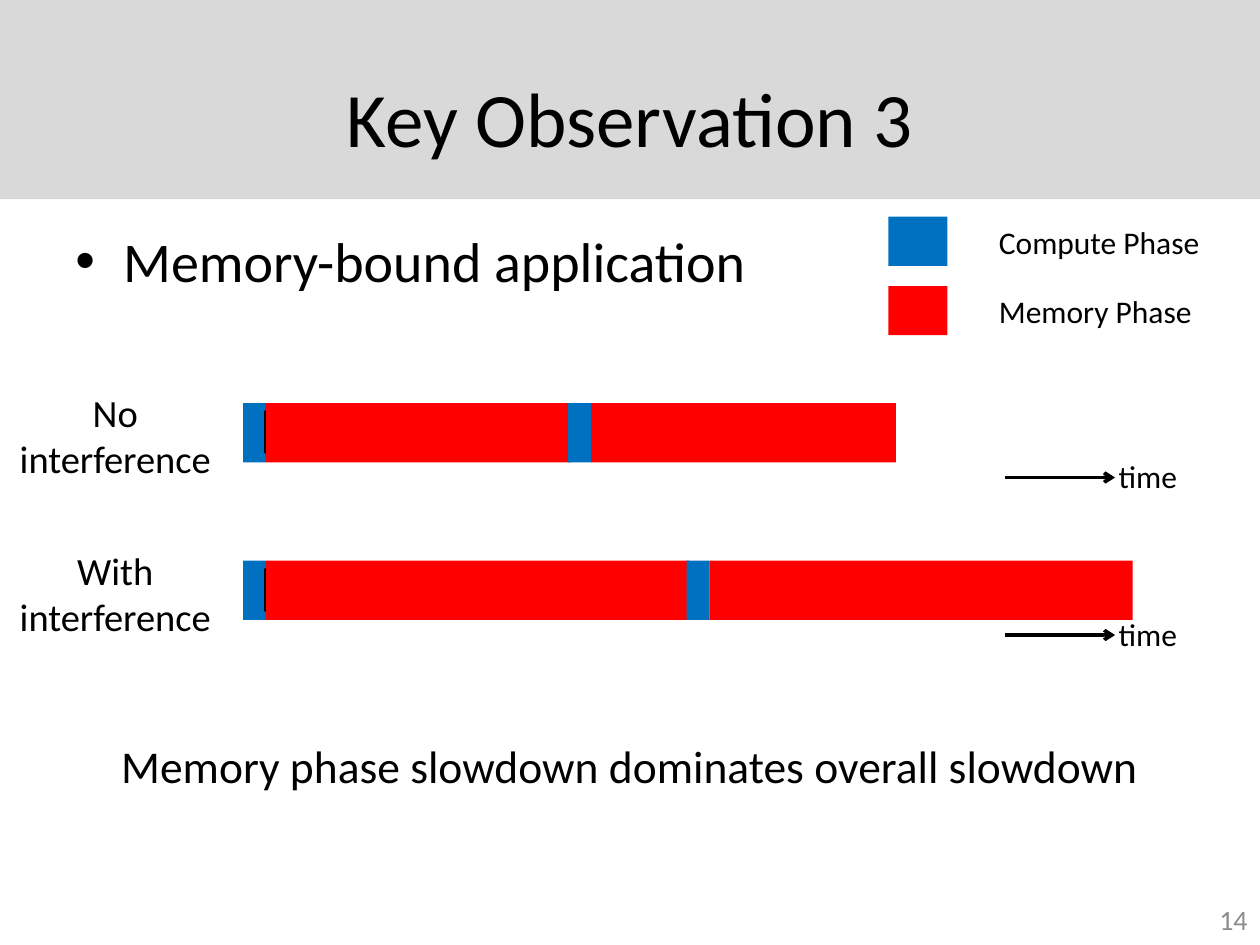
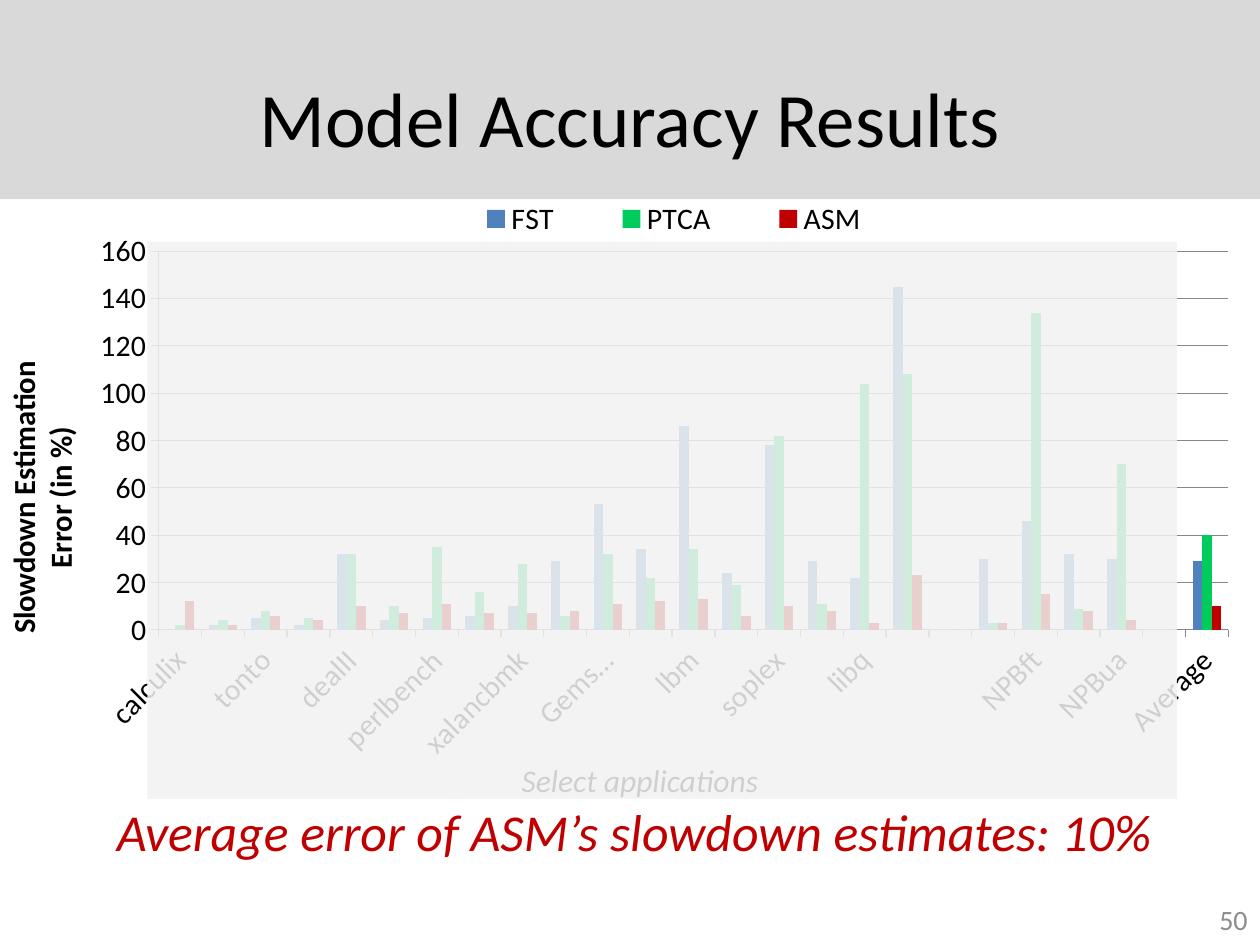
from lxml.etree import SubElement
from pptx import Presentation
from pptx.chart.data import CategoryChartData
from pptx.dml.color import RGBColor
from pptx.enum.chart import XL_CHART_TYPE, XL_LEGEND_POSITION, XL_TICK_MARK
from pptx.enum.shapes import MSO_CONNECTOR, MSO_SHAPE
from pptx.enum.text import MSO_ANCHOR, PP_ALIGN
from pptx.oxml import parse_xml
from pptx.oxml.ns import nsdecls, qn
from pptx.util import Inches, Pt

HUES = {
    "black": "000000", "band": "D9D9D9", "gray": "8C8C8C", "grid": "868686",
    "blue": "0070C0", "red": "FF0000", "veil": "F2F2F2",
    "fst": "4F81BD", "ptca": "00CC5C", "asm": "C00000",
}
FACE = "Calibri"
LEFT, MID, RIGHT = PP_ALIGN.LEFT, PP_ALIGN.CENTER, PP_ALIGN.RIGHT

APPS = ["calculix", "tonto", "dealII", "perlbench", "xalancbmk", "Gems…",
        "lbm", "soplex", "libq", "", "NPBft", "NPBua", "Average"]
ERRORS = {
    "FST": [0, 2, 5, 2, 32, 4, 5, 6, 10, 29, 53, 34, 86, 24, 78, 29, 22, 145,
            0, 30, 46, 32, 30, 0, 29],
    "PTCA": [2, 4, 8, 5, 32, 10, 35, 16, 28, 6, 32, 22, 34, 19, 82, 11, 104,
             108, 0, 3, 134, 9, 70, 0, 40],
    "ASM": [12, 2, 6, 4, 10, 7, 11, 7, 7, 8, 11, 12, 13, 6, 10, 8, 3, 23, 0,
            3, 15, 8, 4, 0, 10],
}


def hue(name):
    return RGBColor.from_string(HUES[name])


def style(font, size, color="black", **more):
    font.color.rgb = hue(color)
    for key, val in {"name": FACE, "size": Pt(size), **more}.items():
        setattr(font, key, val)


def write(slide, box, text, size, color="black", align=LEFT,
          anchor=MSO_ANCHOR.TOP, bullet=False, **more):
    frame = slide.shapes.add_textbox(*map(Inches, box)).text_frame
    frame.word_wrap = True
    frame.vertical_anchor = anchor
    frame.text = text
    for para in frame.paragraphs:
        para.alignment = align
        if bullet:
            props = para._p.get_or_add_pPr()
            props.set("marL", str(Inches(0.38)))
            props.set("indent", str(-Inches(0.38)))
            SubElement(props, qn("a:buFont")).set("typeface", "Arial")
            SubElement(props, qn("a:buChar")).set("char", "•")
        for run in para.runs:
            style(run.font, size, color, **more)


def block(slide, box, fill=None, line=None):
    shape = slide.shapes.add_shape(MSO_SHAPE.RECTANGLE, *map(Inches, box))
    shape.shadow.inherit = False
    if fill:
        shape.fill.solid()
        shape.fill.fore_color.rgb = hue(fill)
    else:
        shape.fill.background()
    if line:
        shape.line.color.rgb = hue(line)
        shape.line.width = Pt(2)
    else:
        shape.line.fill.background()
    return shape


def arrow(slide, left, top, width):
    line = slide.shapes.add_connector(
        MSO_CONNECTOR.STRAIGHT,
        *map(Inches, (left, top, left + width, top)))
    line.line.color.rgb = hue("black")
    line.line.width = Pt(2)
    SubElement(line.line._get_or_add_ln(), qn("a:tailEnd")).set("type", "arrow")
    SubElement(line._element.spPr, qn("a:effectLst"))


def base(deck, title, number):
    slide = deck.slides.add_slide(deck.slide_layouts[6])
    block(slide, (0, 0, 10, 1.58), "band")
    write(slide, (0.5, 0.3, 9, 1.25), title, 44, align=MID,
          anchor=MSO_ANCHOR.MIDDLE)
    write(slide, (7.67, 7.1, 2.33, 0.4), number, 16, "gray", RIGHT,
          MSO_ANCHOR.MIDDLE)
    return slide


def legend(slide, left, top):
    phases = [("Compute Phase", "blue"), ("Memory Phase", "red")]
    for row, (name, fill) in enumerate(phases):
        y = top + row * 0.55
        block(slide, (left, y, 0.47, 0.39), fill)
        write(slide, (left + 0.78, y, 2.17, 0.4), name, 18)


def track(slide, left, top, label, memory, hidden):
    tall, slim = 0.47, 0.18
    start = left + slim
    second = start + memory + 0.16
    write(slide, (left - 2.12, top - 0.16, 2.21, 0.84), label, 22, align=MID)
    block(slide, (left, top, slim, tall), "blue")
    block(slide, (start, top + 0.07, hidden, 0.32), line="black")
    block(slide, (start, top, memory, tall), "red")
    block(slide, (second, top, memory, tall), "red")
    block(slide, (second - slim, top, slim, tall), "blue")
    arrow(slide, left + 6.05, top + 0.59, 0.87)
    write(slide, (left + 6.85, top + 0.38, 0.79, 0.4), "time", 18)


def phases(deck):
    slide = base(deck, "Key Observation 3", "14")
    write(slide, (0.5, 1.75, 6.5, 0.8), "Memory-bound application", 32,
          bullet=True)
    legend(slide, 7.05, 1.72)
    tracks = [("No\ninterference", 2.42, 0.7), ("With interference", 3.36, 1.02)]
    for row, (label, memory, hidden) in enumerate(tracks):
        track(slide, 1.93, 3.2 + row * 1.25, label, memory, hidden)
    write(slide, (0, 5.81, 10, 0.54),
          "Memory phase slowdown dominates overall slowdown", 26, align=MID)


def place(node, index, inner=False, **spots):
    for old in node.findall(qn("c:layout")):
        node.remove(old)
    layout = parse_xml(f"<c:layout {nsdecls('c')}><c:manualLayout/></c:layout>")
    if inner:
        SubElement(layout[0], qn("c:layoutTarget")).set("val", "inner")
    for key in ("x", "y"):
        SubElement(layout[0], qn(f"c:{key}Mode")).set("val", "edge")
    for key, val in spots.items():
        SubElement(layout[0], qn(f"c:{key}")).set("val", str(val))
    node.insert(index, layout)


def axes(chart):
    cat, val = chart.category_axis, chart.value_axis
    for axis in (cat, val):
        axis.major_tick_mark = XL_TICK_MARK.OUTSIDE
        axis.format.line.color.rgb = hue("grid")
        style(axis.tick_labels.font, 17)
    cat._element.xpath("c:txPr/a:bodyPr")[0].set("rot", "-2700000")
    for key, num in {"minimum_scale": 0, "maximum_scale": 160,
                     "major_unit": 20, "has_major_gridlines": True}.items():
        setattr(val, key, num)
    val.major_gridlines.format.line.color.rgb = hue("grid")
    frame = val.axis_title.text_frame
    frame.text = "Slowdown Estimation\nError (in %)"
    for para in frame.paragraphs:
        para.alignment = MID
        style(para.runs[0].font, 17.5, bold=True)
    frame._txBody.bodyPr.set("rot", "-5400000")
    frame._txBody.bodyPr.set("vert", "horz")
    place(val.axis_title._element, 1, x=0, y=0.28)


def graph(slide, box):
    data = CategoryChartData()
    data.categories = [tick for app in APPS for tick in (app, "")][:-1]
    for name, nums in ERRORS.items():
        data.add_series(name, nums)
    chart = slide.shapes.add_chart(
        XL_CHART_TYPE.COLUMN_CLUSTERED, *map(Inches, box), data).chart
    style(chart.font, 17)
    chart.has_title = False
    plot = chart.plots[0]
    plot.gap_width = 150
    plot.vary_by_categories = False
    for series in plot.series:
        series.format.fill.solid()
        series.format.fill.fore_color.rgb = hue(series.name.lower())
    axes(chart)
    chart.has_legend = True
    chart.legend.position = XL_LEGEND_POSITION.RIGHT
    chart.legend.include_in_layout = False
    style(chart.legend.font, 17)
    place(chart.legend._element, 1, x=0.34, y=0, w=0.39, h=0.07)
    area = chart._chartSpace.xpath("c:chart/c:plotArea")[0]
    place(area, 0, True, x=0.126, y=0.092, w=0.849, h=0.668)


def results(deck):
    slide = base(deck, "Model Accuracy Results", "50")
    write(slide, (0.54, 6.3, 9, 0.95),
          "Average error of ASM’s slowdown estimates: 10%", 29.6, "asm", MID,
          italic=True)
    write(slide, (3.58, 5.99, 3, 0.42), "Select applications", 18, align=MID,
          italic=True)
    graph(slide, (0, 1.58, 10, 4.5))
    veil = block(slide, (1.17, 1.92, 8.17, 4.42), "veil")
    tint = veil._element.spPr.xpath("a:solidFill/a:srgbClr")[0]
    SubElement(tint, qn("a:alpha")).set("val", "86000")


def main():
    deck = Presentation()
    deck.slide_width, deck.slide_height = Inches(10), Inches(7.5)
    phases(deck)
    results(deck)
    deck.save("out.pptx")


if __name__ == "__main__":
    main()
